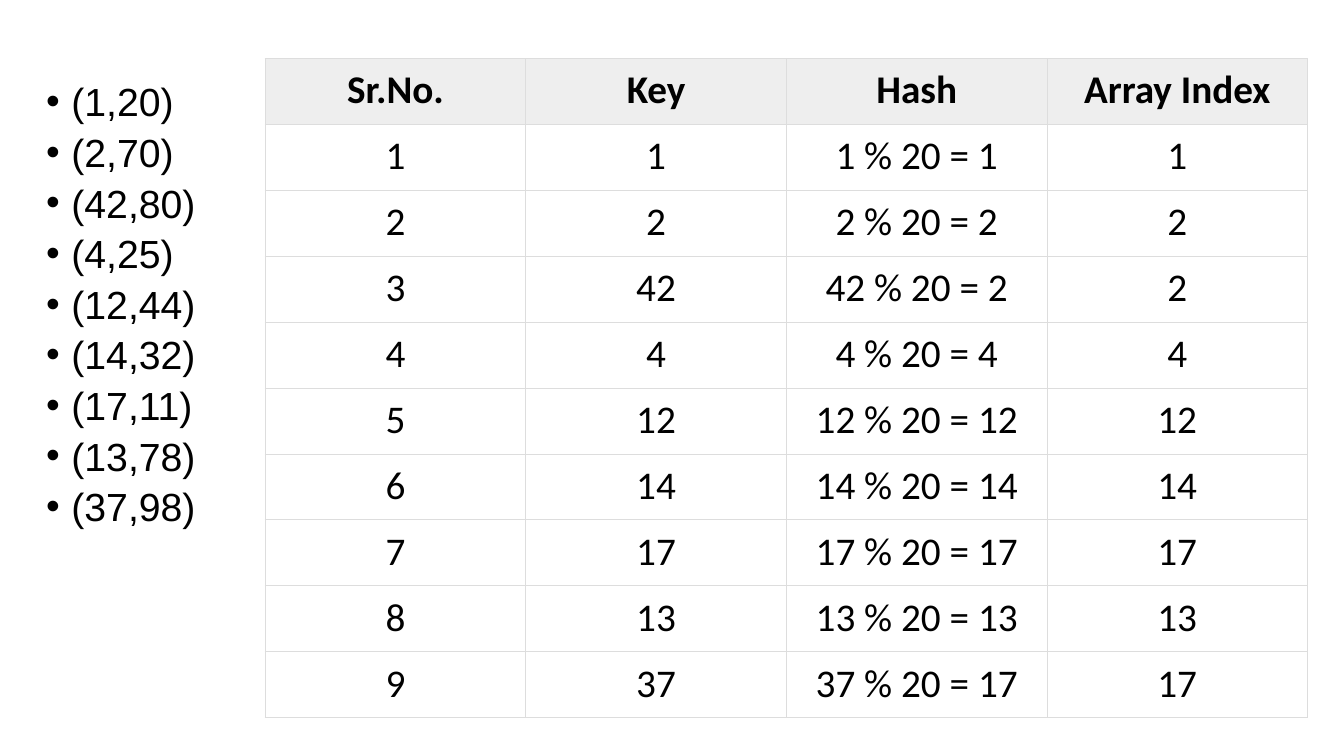
from lxml import etree
from pptx import Presentation
from pptx.dml.color import RGBColor
from pptx.enum.text import MSO_AUTO_SIZE, PP_ALIGN
from pptx.oxml.ns import qn
from pptx.util import Inches, Pt

PAIRS = [(1, 20), (2, 70), (42, 80), (4, 25), (12, 44),
         (14, 32), (17, 11), (13, 78), (37, 98)]
HEADINGS = ["Sr.No.", "Key", "Hash", "Array Index"]
TABLE_SIZE = 20
ROWS = [(number, key, f"{key} % {TABLE_SIZE} = {key % TABLE_SIZE}", key % TABLE_SIZE)
        for number, (key, _) in enumerate(PAIRS, start=1)]

BLACK = RGBColor(0x00, 0x00, 0x00)
HEADER_GREY = RGBColor(0xEE, 0xEE, 0xEE)
BORDER_GREY = RGBColor(0xDD, 0xDD, 0xDD)
LEFT, CENTER = PP_ALIGN.LEFT, PP_ALIGN.CENTER
SHRINK = MSO_AUTO_SIZE.TEXT_TO_FIT_SHAPE


def write(paragraph, text, font="Calibri", bold=False, align=CENTER):
    paragraph.alignment = align
    run = paragraph.add_run()
    run.text = text
    run.font.name = font
    run.font.size = Pt(28)
    run.font.bold = bold
    run.font.color.rgb = BLACK


def add_bullet(paragraph):
    properties = paragraph._p.get_or_add_pPr()
    properties.set("marL", str(Inches(0.25)))
    properties.set("indent", str(-Inches(0.25)))
    etree.SubElement(properties, qn("a:buFont"), typeface="Arial")
    etree.SubElement(properties, qn("a:buChar"), char="•")


def add_borders(cell):
    properties = cell._tc.get_or_add_tcPr()
    for side in ("a:lnL", "a:lnR", "a:lnT", "a:lnB"):
        line = etree.SubElement(properties, qn(side), w=str(Pt(0.75)))
        fill = etree.SubElement(line, qn("a:solidFill"))
        etree.SubElement(fill, qn("a:srgbClr"), val=str(BORDER_GREY))


def add_pair_list(slide):
    frame = slide.shapes.add_textbox(
        Inches(0.36), Inches(0.81), Inches(1.91), Inches(4.76)).text_frame
    frame.word_wrap = True
    frame.auto_size = SHRINK
    frame._txBody.bodyPr.find(qn("a:normAutofit")).set("lnSpcReduction", "10000")
    for index, (key, value) in enumerate(PAIRS):
        paragraph = frame.add_paragraph() if index else frame.paragraphs[0]
        paragraph.line_spacing = 0.9
        paragraph.space_before = Pt(10)
        add_bullet(paragraph)
        write(paragraph, f"({key},{value})", font="Arial", align=LEFT)


def add_hash_table(slide):
    grid = [HEADINGS, *ROWS]
    table = slide.shapes.add_table(
        len(grid), len(HEADINGS), Inches(2.63), Inches(0.58),
        Inches(10.34), Inches(6.54)).table
    table.horz_banding = False
    for row_index, values in enumerate(grid):
        is_header = row_index == 0
        for column_index, value in enumerate(values):
            cell = table.cell(row_index, column_index)
            cell.margin_left = cell.margin_right = Inches(0.08)
            cell.margin_top = cell.margin_bottom = Inches(0.08)
            add_borders(cell)
            if is_header:
                cell.fill.solid()
                cell.fill.fore_color.rgb = HEADER_GREY
            else:
                cell.fill.background()
            write(cell.text_frame.paragraphs[0], str(value), bold=is_header)


def main():
    deck = Presentation()
    deck.slide_width, deck.slide_height = Inches(13.33), Inches(7.5)
    slide = deck.slides.add_slide(deck.slide_layouts[6])
    add_pair_list(slide)
    add_hash_table(slide)
    deck.save("out.pptx")


if __name__ == "__main__":
    main()
